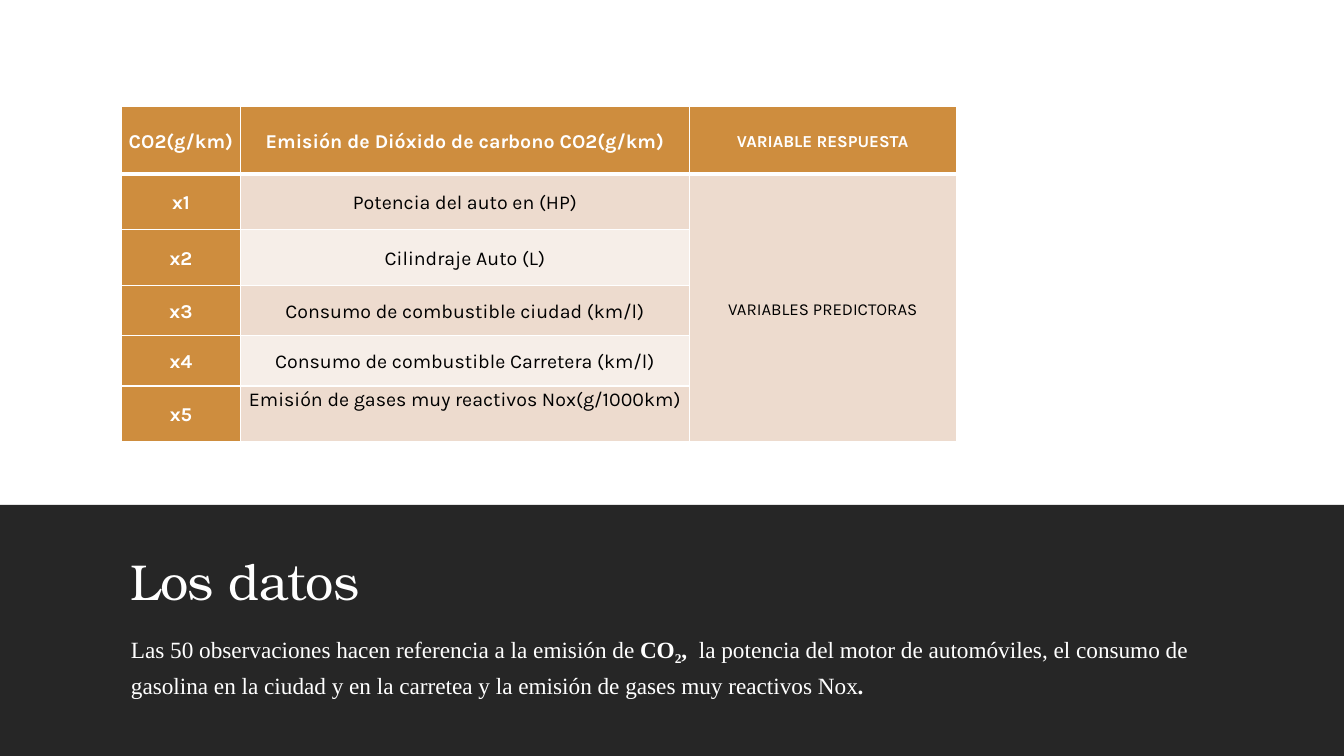
import lxml.etree
import pptx
import pptx.dml.color
import pptx.enum.shapes
import pptx.enum.text
import pptx.oxml.ns
import pptx.util
from pptx.util import Cm

RGBColor = pptx.dml.color.RGBColor
WHITE = RGBColor(0xFF, 0xFF, 0xFF)
BLACK = RGBColor(0x00, 0x00, 0x00)
CHARCOAL = RGBColor(0x26, 0x26, 0x26)
OCHRE = RGBColor(0xCE, 0x8D, 0x3E)
SAND = RGBColor(0xED, 0xDB, 0xCE)
PALE_SAND = RGBColor(0xF6, 0xEE, 0xE8)

ANCHOR = pptx.enum.text.MSO_ANCHOR
CENTER = pptx.enum.text.PP_ALIGN.CENTER

COLUMN_WIDTHS = [3.02, 11.3, 6.73]
ROW_HEIGHTS = [1.7, 1.4, 1.4, 1.27, 1.27, 1.41]
HEADERS = ["CO2(g/km)", "Emisión de Dióxido de carbono CO2(g/km)", "VARIABLE RESPUESTA"]
PREDICTORS = [
    "Potencia del auto en (HP)",
    "Cilindraje Auto (L)",
    "Consumo de combustible ciudad (km/l)",
    "Consumo de combustible Carretera (km/l)",
    "Emisión de gases muy reactivos Nox(g/1000km)",
]


def add_text(paragraph, text, font="Karla", size=14, color=WHITE, bold=False, **attributes):
    run = paragraph.add_run()
    run.text = text
    run.font.name = font
    run.font.size = pptx.util.Pt(size)
    run.font.color.rgb = color
    run.font.bold = bold
    for name, value in attributes.items():
        run.font._element.set(name, str(value))


def add_band(slide, left, top, width, height):
    band = slide.shapes.add_shape(
        pptx.enum.shapes.MSO_SHAPE.RECTANGLE, left, top, width, height)
    band.shadow.inherit = False
    band.fill.solid()
    band.fill.fore_color.rgb = CHARCOAL
    band.line.fill.background()


def add_text_box(slide, top, height, anchor):
    frame = slide.shapes.add_textbox(Cm(3.05), top, Cm(28.09), height).text_frame
    frame.word_wrap = True
    frame.vertical_anchor = anchor
    frame.margin_top = frame.margin_bottom = 0
    return frame.paragraphs[0]


def set_borders(cell, **widths):
    properties = cell._tc.get_or_add_tcPr()
    for side in "LRTB":
        line = lxml.etree.SubElement(properties, pptx.oxml.ns.qn(f"a:ln{side}"))
        line.set("w", str(pptx.util.Pt(widths.get(side, 1))))
        fill = lxml.etree.SubElement(line, pptx.oxml.ns.qn("a:solidFill"))
        color = lxml.etree.SubElement(fill, pptx.oxml.ns.qn("a:srgbClr"))
        color.set("val", str(WHITE))


def fill_cell(cell, text, fill, anchor=ANCHOR.MIDDLE, **text_format):
    cell.fill.solid()
    cell.fill.fore_color.rgb = fill
    cell.vertical_anchor = anchor
    cell.margin_left = cell.margin_right = Cm(0.13)
    cell.margin_top = Cm(0.03)
    cell.margin_bottom = 0
    paragraph = cell.text_frame.paragraphs[0]
    paragraph.alignment = CENTER
    paragraph.line_spacing = 1.07
    paragraph.space_after = pptx.util.Pt(8)
    add_text(paragraph, text, **text_format)


def add_variables_table(slide):
    table = slide.shapes.add_table(
        len(ROW_HEIGHTS), len(COLUMN_WIDTHS), Cm(3.05), Cm(2.69),
        Cm(sum(COLUMN_WIDTHS)), Cm(sum(ROW_HEIGHTS))).table
    table.horz_banding = False
    for column, width in zip(table.columns, COLUMN_WIDTHS):
        column.width = Cm(width)
    for index, (row, height) in enumerate(zip(table.rows, ROW_HEIGHTS)):
        row.height = Cm(height)
        for cell in row.cells:
            set_borders(cell, T=3 if index == 1 else 1, B=3 if index == 0 else 1)

    for index, (header, size) in enumerate(zip(HEADERS, [14, 14, 12])):
        fill_cell(table.cell(0, index), header, OCHRE, size=size, bold=True)
    for index, predictor in enumerate(PREDICTORS, start=1):
        fill_cell(table.cell(index, 0), f"x{index}", OCHRE, bold=True)
        fill_cell(table.cell(index, 1), predictor, SAND if index % 2 else PALE_SAND,
                  anchor=ANCHOR.TOP if index == len(PREDICTORS) else ANCHOR.MIDDLE,
                  color=BLACK)
    table.cell(1, 2).merge(table.cell(len(PREDICTORS), 2))
    fill_cell(table.cell(1, 2), "VARIABLES PREDICTORAS", SAND, size=12, color=BLACK)


def add_description(slide):
    paragraph = add_text_box(slide, Cm(15.88), Cm(1.7), ANCHOR.TOP)
    paragraph.space_after = pptx.util.Pt(6)
    paragraph.line_spacing = 1.15
    body = {"font": "Times New Roman", "size": 16.6}
    add_text(paragraph, "Las 50 observaciones hacen referencia a la emisión de ", **body)
    add_text(paragraph, "CO", bold=True, **body)
    add_text(paragraph, "2", bold=True, baseline=-25000, **body)
    add_text(paragraph, ",", bold=True, **body)
    add_text(paragraph, "  la potencia del motor de automóviles, el consumo de gasolina en la "
             "ciudad y en la carretea y la emisión de gases muy reactivos Nox", **body)
    add_text(paragraph, ".", bold=True, **body)


def main():
    presentation = pptx.Presentation()
    presentation.slide_width = Cm(33.87)
    presentation.slide_height = Cm(19.05)
    slide = presentation.slides.add_slide(presentation.slide_layouts[6])
    add_band(slide, 0, Cm(12.72), presentation.slide_width, Cm(6.33))
    title = add_text_box(slide, Cm(13.34), Cm(2.06), ANCHOR.BOTTOM)
    title.line_spacing = 0.9
    add_text(title, "Los datos", font="TeX Gyre Bonum", size=36, spc=-50)
    add_description(slide)
    add_variables_table(slide)
    presentation.save("out.pptx")


if __name__ == "__main__":
    main()
